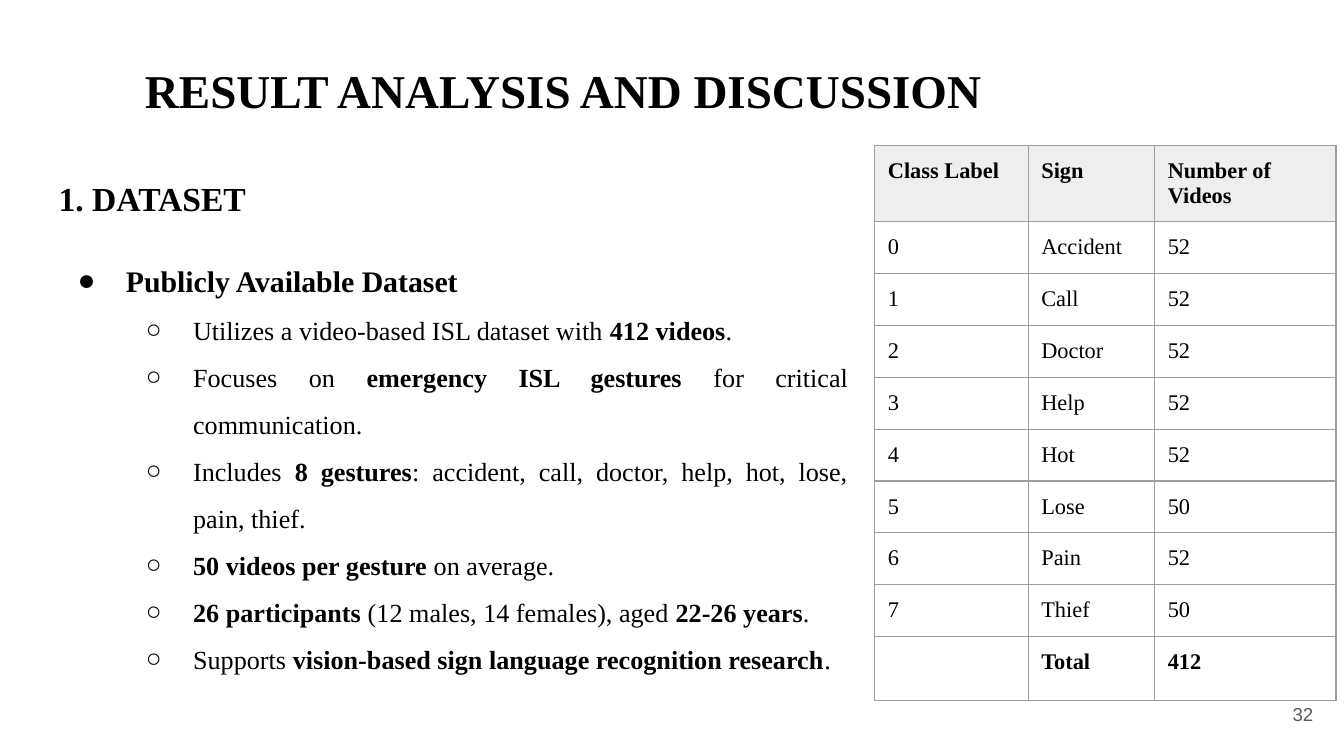
from lxml.etree import SubElement
from pptx import Presentation
from pptx.dml.color import RGBColor
from pptx.enum.text import MSO_ANCHOR, MSO_AUTO_SIZE, PP_ALIGN
from pptx.oxml.ns import qn
from pptx.util import Cm, Pt

BLACK = RGBColor(0x00, 0x00, 0x00)
GREY = RGBColor(0x59, 0x59, 0x59)
HEADER_FILL = RGBColor(0xEE, 0xEE, 0xEE)
BORDER = RGBColor(0x9E, 0x9E, 0x9E)
SERIF = "Times New Roman"
INSET = Cm(0.25)

# Each point is a list of (text, bold) runs.
POINTS = [
    [("Utilizes a video-based ISL dataset with ", False), ("412 videos", True), (".", False)],
    [("Focuses on ", False), ("emergency ISL gestures", True),
     (" for critical communication.", False)],
    [("Includes ", False), ("8 gestures", True),
     (": accident, call, doctor, help, hot, lose, pain, thief.", False)],
    [("50 videos per gesture", True), (" on average.", False)],
    [("26 participants", True), (" (12 males, 14 females), aged ", False),
     ("22-26 years", True), (".", False)],
    [("Supports ", False), ("vision-based sign language recognition research", True),
     (".", False)],
]
VIDEO_COUNTS = {"Accident": 52, "Call": 52, "Doctor": 52, "Help": 52,
                "Hot": 52, "Lose": 50, "Pain": 52, "Thief": 50}


class SlideBuilder:
    def __init__(self, presentation):
        self.slide = presentation.slides.add_slide(presentation.slide_layouts[5])

    def add_run(self, paragraph, text, size, bold=False, font=SERIF, color=BLACK):
        run = paragraph.add_run()
        run.text = text
        run.font.name = font
        run.font.size = Pt(size)
        run.font.bold = bold
        run.font.color.rgb = color

    def prepare_frame(self, frame, anchor=MSO_ANCHOR.TOP):
        frame.word_wrap = True
        frame.auto_size = MSO_AUTO_SIZE.NONE
        frame.vertical_anchor = anchor
        frame.margin_left = frame.margin_right = INSET
        frame.margin_top = frame.margin_bottom = INSET
        return frame

    def set_title(self, text, left, top, width, height):
        title = self.slide.shapes.title
        title.left, title.top = Cm(left), Cm(top)
        title.width, title.height = Cm(width), Cm(height)
        paragraph = self.prepare_frame(title.text_frame).paragraphs[0]
        paragraph.alignment = PP_ALIGN.LEFT
        self.add_run(paragraph, text, 25.2, bold=True)

    def add_text_box(self, left, top, width, height, anchor=MSO_ANCHOR.TOP):
        box = self.slide.shapes.add_textbox(Cm(left), Cm(top), Cm(width), Cm(height))
        return self.prepare_frame(box.text_frame, anchor)

    def add_bullet(self, frame, runs, size, character, margin, hanging, level=0, before=0):
        paragraph = frame.add_paragraph()
        paragraph.level = level
        paragraph.alignment = PP_ALIGN.JUSTIFY
        paragraph.line_spacing = 1.5
        paragraph.space_before = Pt(before)
        properties = paragraph._p.get_or_add_pPr()
        properties.set("marL", str(Cm(margin)))
        properties.set("indent", str(-Cm(hanging)))
        bullet_color = SubElement(properties, qn("a:buClr"))
        SubElement(bullet_color, qn("a:srgbClr"), val=str(BLACK))
        SubElement(properties, qn("a:buFont"), typeface=SERIF)
        SubElement(properties, qn("a:buChar"), char=character)
        for text, bold in runs:
            self.add_run(paragraph, text, size, bold)

    def add_table(self, rows, left, top, widths, heights):
        frame = self.slide.shapes.add_table(len(rows), len(widths), Cm(left), Cm(top),
                                            Cm(sum(widths)), Cm(sum(heights)))
        table = frame.table
        for column, width in zip(table.columns, widths):
            column.width = Cm(width)
        for row, height, texts in zip(table.rows, heights, rows):
            row.height = Cm(height)
            is_header = texts is rows[0]
            for cell, text in zip(row.cells, texts):
                self.format_cell(cell, is_header)
                self.add_run(cell.text_frame.paragraphs[0], text, 12,
                             bold=is_header or texts is rows[-1])

    def format_cell(self, cell, is_header):
        cell.margin_left = cell.margin_right = INSET
        cell.margin_top = cell.margin_bottom = INSET
        properties = cell._tc.get_or_add_tcPr()
        for side in ("a:lnL", "a:lnR", "a:lnT", "a:lnB"):
            line = SubElement(properties, qn(side), w=str(Pt(0.75)))
            fill = SubElement(line, qn("a:solidFill"))
            SubElement(fill, qn("a:srgbClr"), val=str(BORDER))
        if is_header:
            cell.fill.solid()
            cell.fill.fore_color.rgb = HEADER_FILL
        else:
            cell.fill.background()


def main():
    presentation = Presentation()
    presentation.slide_width, presentation.slide_height = Cm(25.4), Cm(14.29)
    builder = SlideBuilder(presentation)

    body = builder.add_text_box(0.86, 2.74, 15.42, 9.96)
    heading = body.paragraphs[0]
    heading.line_spacing = 1.5
    builder.add_run(heading, "1. DATASET", 18, bold=True)
    builder.add_bullet(body, [("Publicly Available Dataset", True)], 16, "●",
                       margin=1.27, hanging=0.91, before=14)
    for runs in POINTS:
        builder.add_bullet(body, runs, 14, "○", margin=2.54, hanging=0.89, level=1)

    builder.set_title("RESULT ANALYSIS AND DISCUSSION", 2.49, 0.91, 19.94, 1.6)

    number = builder.add_text_box(23.55, 12.95, 1.52, 1.09, MSO_ANCHOR.MIDDLE).paragraphs[0]
    number.alignment = PP_ALIGN.RIGHT
    builder.add_run(number, "32", 10, font="Arial", color=GREY)

    rows = [("Class Label", "Sign", "Number of Videos")]
    for label, (sign, count) in enumerate(VIDEO_COUNTS.items()):
        rows.append((str(label), sign, str(count)))
    rows.append(("", "Total", str(sum(VIDEO_COUNTS.values()))))
    heights = [1.44] + [0.98] * len(VIDEO_COUNTS) + [1.21]
    builder.add_table(rows, 16.53, 2.75, [2.9, 2.39, 3.43], heights)

    presentation.save("out.pptx")


if __name__ == "__main__":
    main()
